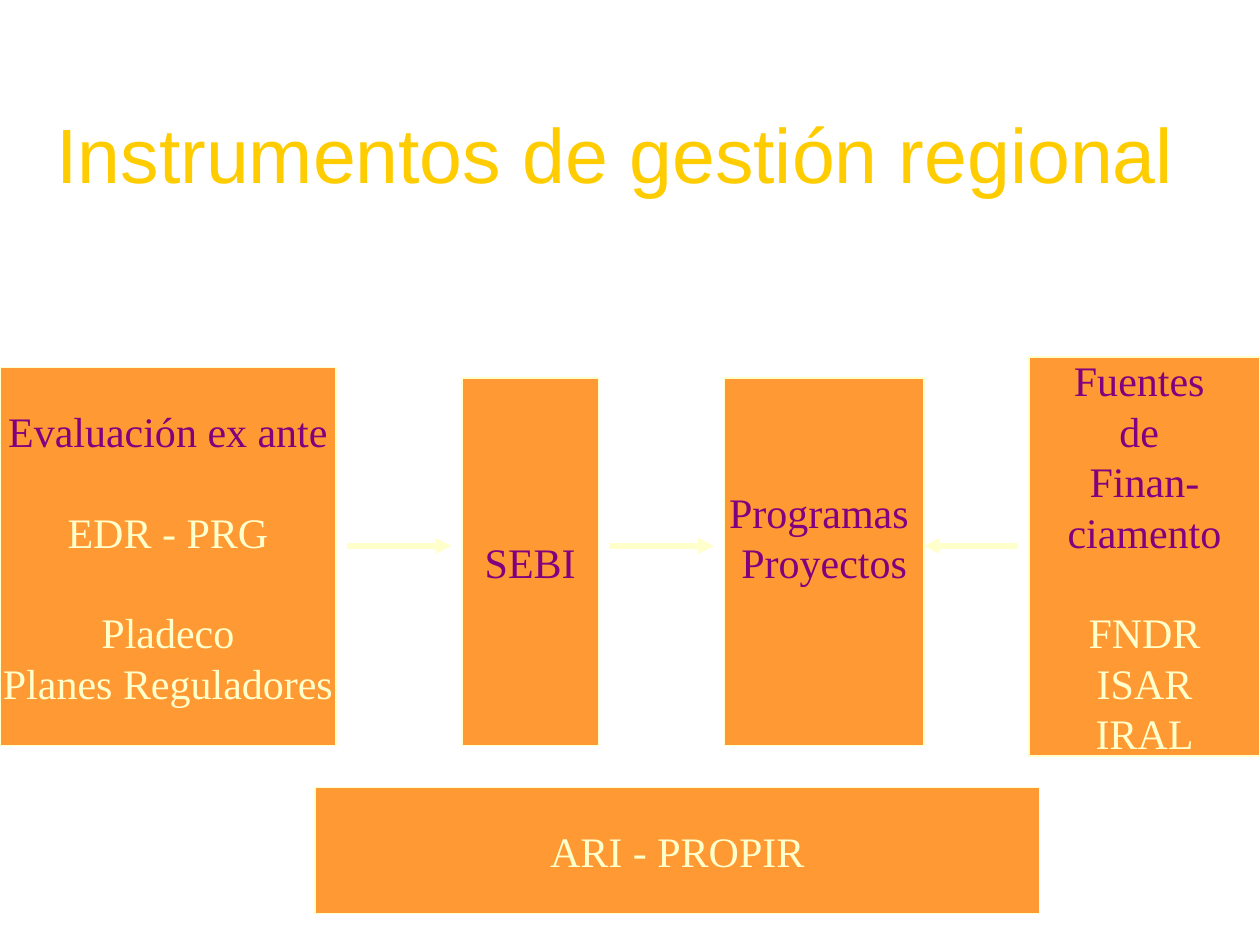
from lxml import etree
from pptx import Presentation
from pptx.dml.color import RGBColor
from pptx.enum.shapes import MSO_CONNECTOR, MSO_SHAPE
from pptx.enum.text import MSO_ANCHOR, PP_ALIGN
from pptx.oxml.ns import qn
from pptx.util import Pt

RECTANGLE = MSO_SHAPE.RECTANGLE
STRAIGHT = MSO_CONNECTOR.STRAIGHT
MIDDLE, BOTTOM = MSO_ANCHOR.MIDDLE, MSO_ANCHOR.BOTTOM
CENTER = PP_ALIGN.CENTER

COLORS = {
    "title": "FFCC00",
    "box": "FF9933",
    "heading": "800080",
    "light": "FFFFCC",
}
LINE_HEIGHT = 28.8
ARROW_Y = 312


class SlideBuilder:
    title_font, title_size = "Arial", 44
    body_font, body_size = "Times New Roman", 24

    def __init__(self, slide):
        self.slide = slide

    def color(self, name):
        return RGBColor.from_string(COLORS[name])

    def style_font(self, paragraph, name, size, color):
        for run in paragraph.runs:
            run.font.name = name
            run.font.size = Pt(size)
            run.font.color.rgb = self.color(color)

    def title(self, text, left, top, width, height):
        shape = self.slide.shapes.add_textbox(Pt(left), Pt(top), Pt(width), Pt(height))
        text_frame = shape.text_frame
        text_frame.word_wrap = True
        text_frame.vertical_anchor = BOTTOM
        text_frame.text = text
        self.style_font(text_frame.paragraphs[0], self.title_font, self.title_size, "title")

    def box(self, left, top, width, height, lines, lift=0):
        """Draw a box; lines hold (text, color, gap above), lift raises the text."""
        shape = self.slide.shapes.add_shape(
            RECTANGLE, Pt(left), Pt(top), Pt(width), Pt(height))
        shape.shadow.inherit = False
        shape.fill.solid()
        shape.fill.fore_color.rgb = self.color("box")
        shape.line.color.rgb = self.color("light")
        shape.line.width = Pt(0.75)
        text_frame = shape.text_frame
        text_frame.word_wrap = False
        text_frame.vertical_anchor = MIDDLE
        text_frame.margin_bottom = Pt(3.6 + 2 * lift)
        text_frame.text = "\n".join(text for text, _, _ in lines)
        for paragraph, (_, color, gap) in zip(text_frame.paragraphs, lines):
            paragraph.alignment = CENTER
            paragraph.line_spacing = Pt(LINE_HEIGHT)
            if gap:
                paragraph.space_before = Pt(gap)
            self.style_font(paragraph, self.body_font, self.body_size, color)

    def arrow(self, start, end, y):
        connector = self.slide.shapes.add_connector(
            STRAIGHT, Pt(start), Pt(y), Pt(end), Pt(y))
        connector.line.color.rgb = self.color("light")
        connector.line.width = Pt(3)
        line = connector.line._get_or_add_ln()
        etree.SubElement(line, qn("a:tailEnd"), type="triangle")
        etree.SubElement(connector._element.spPr, qn("a:effectLst"))


def main():
    presentation = Presentation()
    presentation.slide_width, presentation.slide_height = Pt(720), Pt(540)
    builder = SlideBuilder(presentation.slides.add_slide(presentation.slide_layouts[6]))

    builder.title("Instrumentos de gestión regional", 25.2, 56.88, 680.4, 60.48)
    builder.box(0, 210, 192, 216, [
        ("Evaluación ex ante", "heading", 0),
        ("EDR - PRG", "light", LINE_HEIGHT),
        ("Pladeco", "light", LINE_HEIGHT),
        ("Planes Reguladores", "light", 0),
    ])
    builder.box(264, 216, 78, 210, [("SEBI", "heading", 0)])
    builder.box(414, 216, 114, 210, [
        ("Programas ", "heading", 0),
        ("Proyectos", "heading", 0),
    ], lift=LINE_HEIGHT / 2)
    builder.box(588, 204, 132, 228, [
        ("Fuentes ", "heading", 0),
        ("de ", "heading", 0),
        ("Finan-", "heading", 0),
        ("ciamento", "heading", 0),
        ("FNDR", "light", LINE_HEIGHT),
        ("ISAR", "light", 0),
        ("IRAL", "light", 0),
    ])
    builder.box(180, 450, 414, 72, [("ARI - PROPIR", "light", 0)])

    for start, end in [(198, 258), (348, 408), (582, 528)]:
        builder.arrow(start, end, ARROW_Y)

    presentation.save("out.pptx")


if __name__ == "__main__":
    main()
